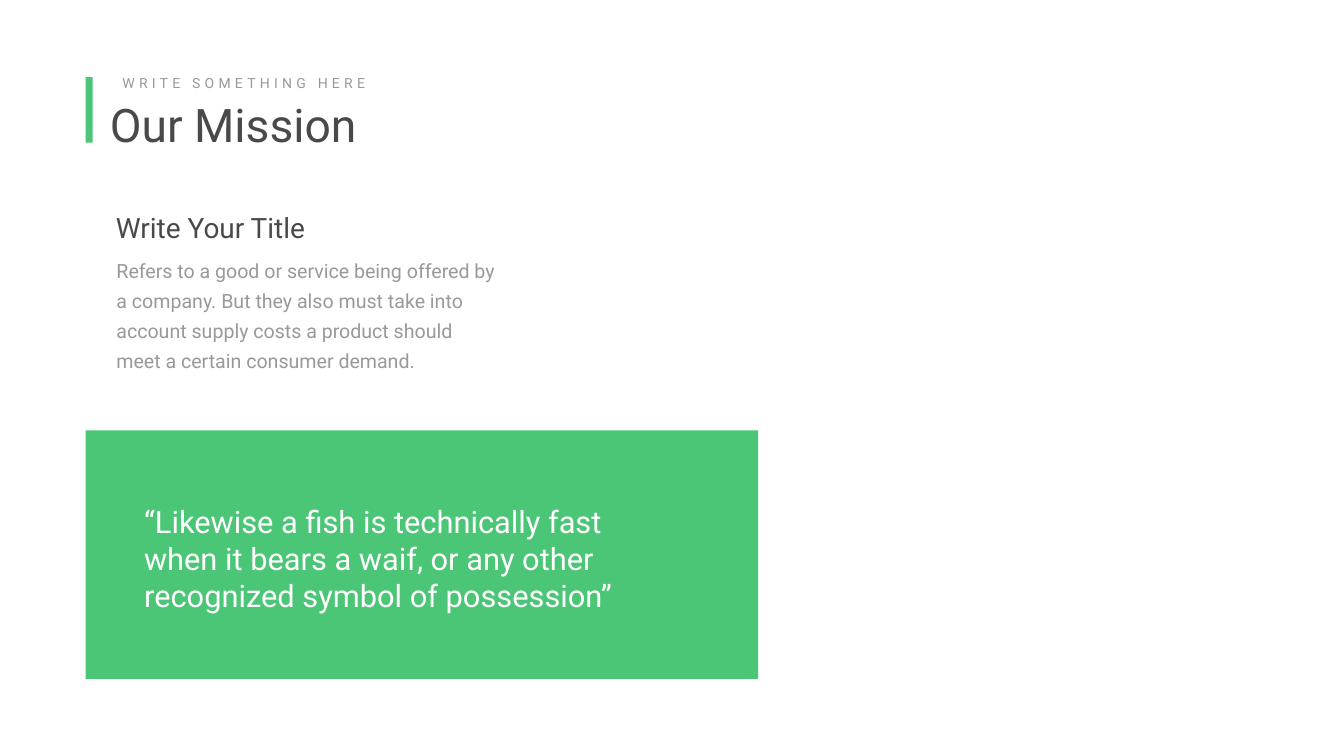
from dataclasses import dataclass

from pptx import Presentation
from pptx import util as u
from pptx.dml import color
from pptx.enum import shapes, text


@dataclass(frozen=True)
class Theme:
    font: str = "Roboto"
    green: str = "4BC676"
    dark: str = "494949"
    gray: str = "999999"
    white: str = "FFFFFF"
    heading: int = 66
    quote: int = 44
    subheading: int = 40
    body: int = 28
    label: int = 20


THEME = Theme()


def lengths(box):
    return [u.Inches(value) for value in box]


def add_block(page, box):
    block = page.shapes.add_shape(shapes.MSO_SHAPE.RECTANGLE, *lengths(box))
    block.shadow.inherit = False
    block.fill.solid()
    block.fill.fore_color.rgb = color.RGBColor.from_string(THEME.green)
    block.line.fill.background()


def add_text(page, box, words, size, ink, inset=(0.1, 0.05), leading=None, tracking=None):
    frame = page.shapes.add_textbox(*lengths(box)).text_frame
    across, down = lengths(inset)
    layout = {
        "word_wrap": True,
        "auto_size": text.MSO_AUTO_SIZE.SHAPE_TO_FIT_TEXT,
        "margin_left": across,
        "margin_right": across,
        "margin_top": down,
        "margin_bottom": down,
    }
    for name, value in layout.items():
        setattr(frame, name, value)
    para = frame.paragraphs[0]
    if leading:
        para.line_spacing = u.Pt(leading)
    span = para.add_run()
    span.text = words
    for name, value in {"name": THEME.font, "size": u.Pt(size)}.items():
        setattr(span.font, name, value)
    span.font.color.rgb = color.RGBColor.from_string(ink)
    if tracking:
        span._r.get_or_add_rPr().set("spc", str(tracking * 100))


def add_header(page, box):
    left, top, width, height = box
    add_block(page, (left, top + 0.11, 0.14, 1.3))
    add_text(page, (left + 0.63, top, 5.96, 0.44), "WRITE SOMETHING HERE",
             THEME.label, THEME.gray, tracking=6)
    add_text(page, (left + 0.38, top + 0.44, width - 0.38, height - 0.44),
             "Our Mission", THEME.heading, THEME.dark)


def add_mission(page, box):
    left, top, width, height = box
    title_height = 0.77
    add_text(page, (left + 0.13, top, 5.44, title_height), "Write Your Title",
             THEME.subheading, THEME.dark)
    add_text(page, (left, top + title_height, width, height - title_height),
             "Refers to a good or service being offered by a company. "
             "But they also must take into account supply costs a product "
             "should meet a certain consumer demand.",
             THEME.body, THEME.gray, inset=(0.24, 0.12), leading=43)


def add_quote(page, box):
    left, top, width, height = box
    add_block(page, box)
    add_text(page, (left + 1.06, top + 1.38, width - 2.83, height - 2.61),
             "“Likewise a fish is technically fast when it bears a waif, "
             "or any other recognized symbol of possession”",
             THEME.quote, THEME.white)


def main():
    deck = Presentation()
    deck.slide_width, deck.slide_height = lengths((26.66, 15))
    page = deck.slides.add_slide(deck.slide_layouts[6])
    page.background.fill.solid()
    page.background.fill.fore_color.rgb = color.RGBColor.from_string(THEME.white)
    add_quote(page, (1.7, 8.54, 13.34, 4.93))
    add_header(page, (1.7, 1.42, 11.57, 1.65))
    add_mission(page, (2.07, 4.12, 8.1, 3.37))
    deck.save("out.pptx")


if __name__ == "__main__":
    main()
